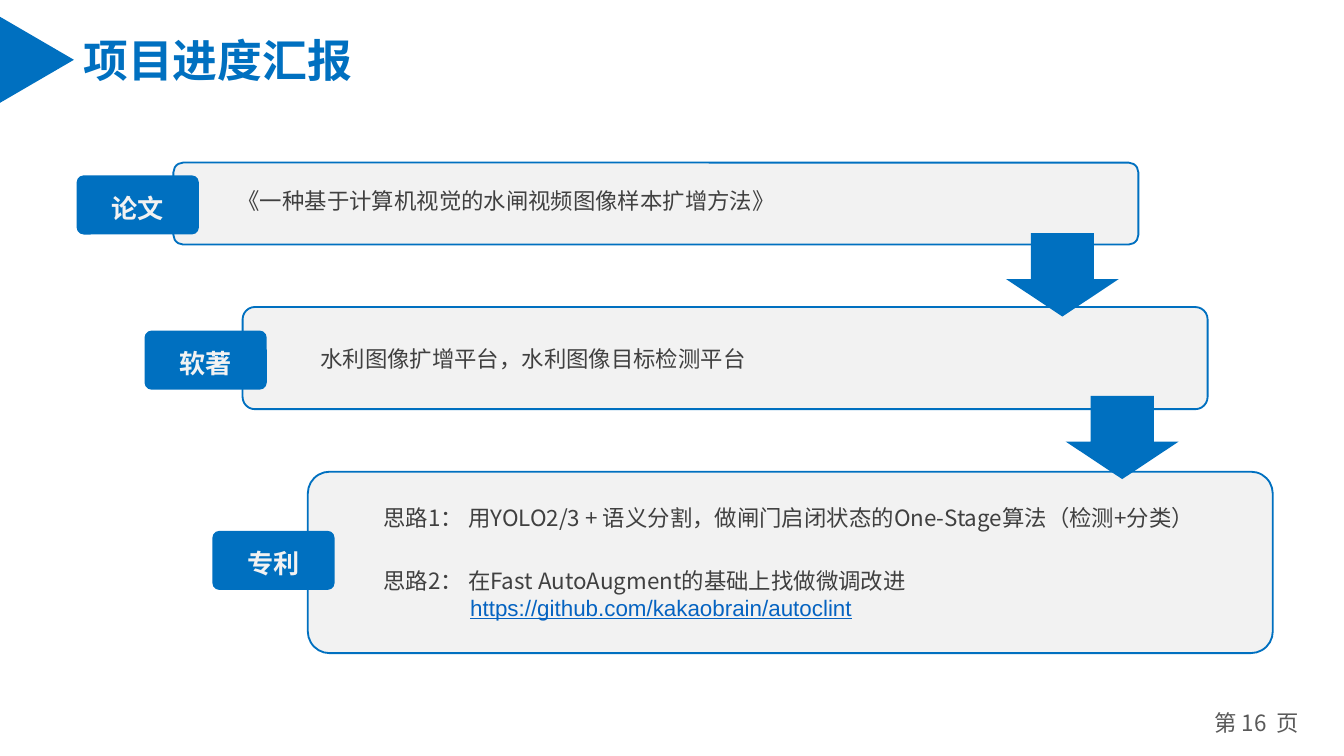
from dataclasses import dataclass

from lxml import etree
from pptx import Presentation
from pptx import util as u
from pptx.dml.color import RGBColor
from pptx.enum import shapes, text
from pptx.oxml.ns import qn


@dataclass(frozen=True)
class Theme:
    blue: str = "0070C0"
    pale: str = "F2F2F2"
    ink: str = "404040"
    grey: str = "595959"
    link: str = "0563C1"
    cjk: str = "Noto Sans CJK SC"
    latin: str = "Arial"
    title: int = 24
    label: int = 14
    body: int = 12


THEME = Theme()
PX = 4572
PAGE_SIZE = (2000, 1125)
TITLE = "项目进度汇报"
PAGE_NUMBER = "第 16  页"
LINK = "https://github.com/kakaobrain/autoclint"
CARD_WIDTH = 1436
TAG_SIZE = (182, 88)
ARROW_SIZE = (168, 124)
FIRST_INDENT, LINK_INDENT = 76, 205

STAGES = [
    {"label": "论文", "card": (258, 242, 122), "tag": (114, 261),
     "notes": [((258, 268, 1188, 60), ["《一种基于计算机视觉的水闸视频图像样本扩增方法》"])]},
    {"label": "软著", "card": (361, 457, 152), "tag": (215, 492),
     "notes": [((381, 504, 1188, 60), ["水利图像扩增平台，水利图像目标检测平台"])]},
    {"label": "专利", "card": (458, 702, 270), "tag": (316, 790),
     "notes": [
         ((475, 740, 1392, 60),
          ["思路1： 用YOLO2/3 + 语义分割，做闸门启闭状态的One-Stage算法（检测+分类）"]),
         ((475, 834, 1392, 142),
          ["思路2： 在Fast AutoAugment的基础上找做微调改进", LINK]),
     ]},
]
ARROWS = [(1497, 347), (1586, 589)]


def px(*lengths):
    return [u.Emu(length * PX) for length in lengths]


def colour(value):
    return RGBColor.from_string(value)


def add_span(para, words, size, ink, bold=False, face=THEME.cjk, underline=None):
    span = para.add_run()
    span.text = words
    font = span.font
    font.name, font.size, font.bold, font.underline = face, u.Pt(size), bold, underline
    font.color.rgb = colour(ink)
    etree.SubElement(font._element, qn("a:ea")).set("typeface", face)


def add_block(page, kind, box, fill, line=None, radius=None):
    shape = page.shapes.add_shape(kind, *px(*box))
    shape.shadow.inherit = False
    shape.fill.solid()
    shape.fill.fore_color.rgb = colour(fill)
    if line:
        shape.line.color.rgb = colour(line)
        shape.line.width = u.Pt(1)
    else:
        shape.line.fill.background()
    if radius:
        shape.adjustments[0] = radius
    return shape


def set_insets(frame, side, edge):
    frame.margin_left = frame.margin_right = u.Inches(side)
    frame.margin_top = frame.margin_bottom = u.Inches(edge)


def add_title(page):
    title = page.shapes.title
    title.left, title.top, title.width, title.height = px(104, 38, 444, 100)
    frame = title.text_frame
    frame.auto_size = text.MSO_AUTO_SIZE.NONE
    frame.word_wrap = False
    frame.vertical_anchor = text.MSO_ANCHOR.MIDDLE
    set_insets(frame, 0.1, 0.05)
    para = frame.paragraphs[0]
    para.alignment = text.PP_ALIGN.LEFT
    para.space_before = u.Pt(0)
    add_span(para, TITLE, THEME.title, THEME.blue, bold=True)


def add_note(page, box, lines):
    frame = page.shapes.add_textbox(*px(*box)).text_frame
    frame.word_wrap = True
    for index, words in enumerate(lines):
        para = frame.add_paragraph() if index else frame.paragraphs[0]
        props = para._p.get_or_add_pPr()
        props.set("marL", "0")
        if words == LINK:
            props.set("indent", str(LINK_INDENT * PX))
            add_span(para, words, THEME.body, THEME.link,
                     face=THEME.latin, underline=True)
        else:
            props.set("indent", str(FIRST_INDENT * PX))
            add_span(para, words, THEME.body, THEME.ink)


def add_stage(page, stage):
    left, top, height = stage["card"]
    rounded = shapes.MSO_SHAPE.ROUNDED_RECTANGLE
    add_block(page, rounded, (left, top, CARD_WIDTH, height),
              THEME.pale, THEME.blue, radius=0.12)
    for box, lines in stage["notes"]:
        add_note(page, box, lines)
    tag = add_block(page, rounded, (*stage["tag"], *TAG_SIZE), THEME.blue, radius=0.12)
    frame = tag.text_frame
    frame.vertical_anchor = text.MSO_ANCHOR.MIDDLE
    set_insets(frame, 0.07, 0.03)
    para = frame.paragraphs[0]
    para.alignment = text.PP_ALIGN.CENTER
    para.line_spacing = 1.2
    add_span(para, stage["label"], THEME.label, THEME.pale, bold=True)


def add_page_number(page):
    frame = page.shapes.add_textbox(*px(1780, 1047, 180, 60)).text_frame
    frame.word_wrap = True
    set_insets(frame, 0.07, 0.04)
    para = frame.paragraphs[0]
    para.alignment = text.PP_ALIGN.CENTER
    add_span(para, PAGE_NUMBER, THEME.body, THEME.grey)


def main():
    deck = Presentation()
    deck.slide_width, deck.slide_height = px(*PAGE_SIZE)
    page = deck.slides.add_slide(deck.slide_layouts[5])
    add_page_number(page)
    add_title(page)
    marker = add_block(page, shapes.MSO_SHAPE.ISOSCELES_TRIANGLE,
                       (-9, 34, 128, 110), THEME.blue)
    marker.rotation = 90
    for stage in STAGES:
        add_stage(page, stage)
    for place in ARROWS:
        arrow = add_block(page, shapes.MSO_SHAPE.DOWN_ARROW,
                          (*place, *ARROW_SIZE), THEME.blue)
        arrow.adjustments[0], arrow.adjustments[1] = 0.56, 0.45
    deck.save("out.pptx")


if __name__ == "__main__":
    main()
